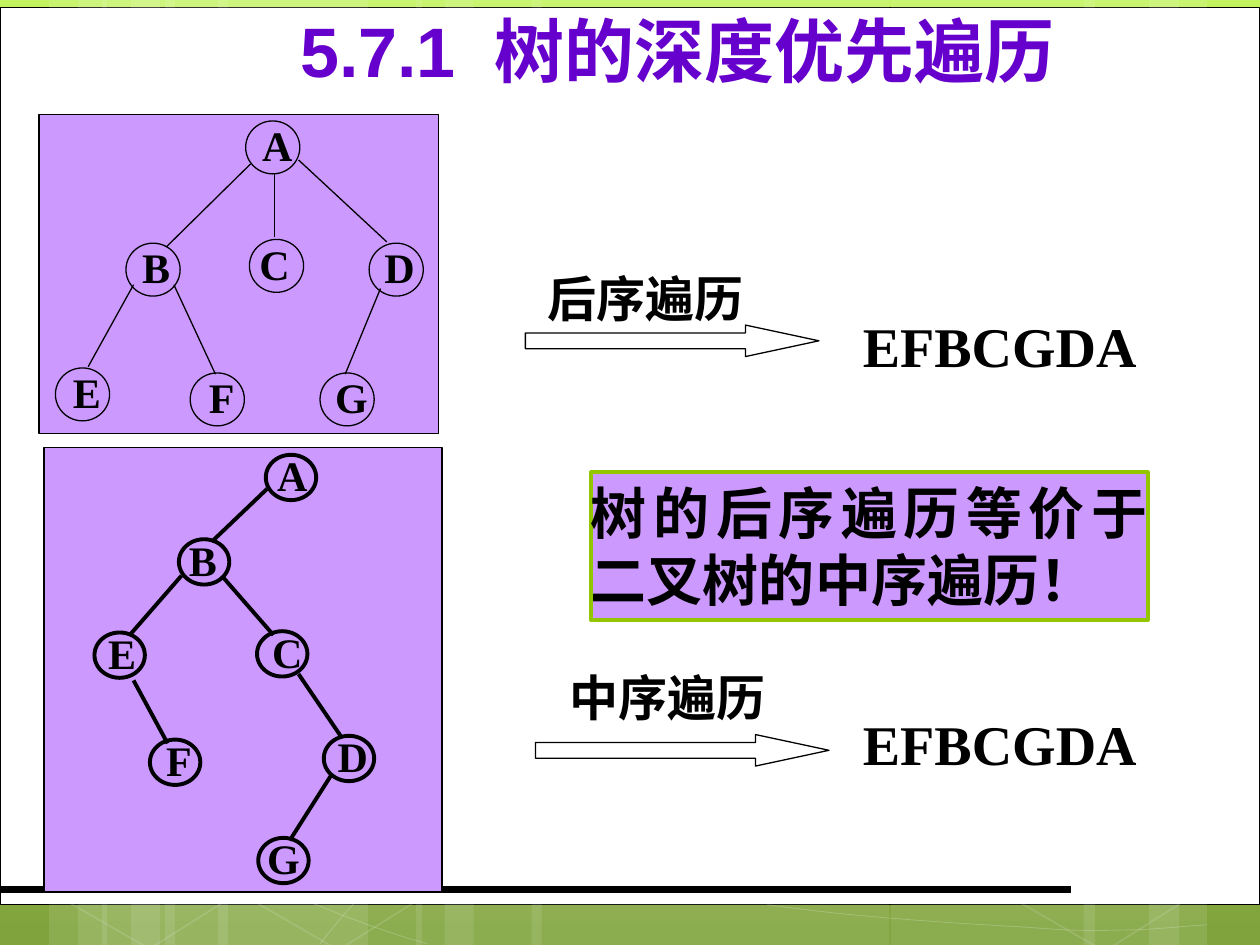
from lxml import etree
from pptx import Presentation
from pptx.dml.color import RGBColor
from pptx.enum.shapes import MSO_CONNECTOR, MSO_SHAPE
from pptx.enum.text import MSO_ANCHOR, PP_ALIGN
from pptx.oxml.ns import qn
from pptx.util import Inches, Pt

RECTANGLE, ELLIPSE = MSO_SHAPE.RECTANGLE, MSO_SHAPE.OVAL
HEXAGON, ARROW = MSO_SHAPE.HEXAGON, MSO_SHAPE.RIGHT_ARROW
STRAIGHT = MSO_CONNECTOR.STRAIGHT
LEFT, CENTER, JUSTIFY = PP_ALIGN.LEFT, PP_ALIGN.CENTER, PP_ALIGN.JUSTIFY
TOP = MSO_ANCHOR.TOP

COLORS = {
    "sky": "C2F35F", "grass": "80A33D", "white": "FFFFFF", "ink": "000000",
    "panel": "CC99FF", "frame": "94C600", "title": "6600CC",
}

# left, width of the pale vertical bars
BARS = [(1.31, 1.61), (0.39, 0.46), (0.62, 0.77), (1.73, 1.62), (0.81, 0.46),
        (1.04, 0.77), (7.07, 1.62), (9.12, 0.46), (8.6, 0.76), (4.22, 2.84),
        (3.3, 0.46), (3.53, 0.77)]
HEXAGONS = [(0.41, 5.91), (1.91, 5.92), (7.99, 5.93)]
# Bezier control points: a start, then three for each piece
CURVES = [
    [(0.36, 6.17), (1.47, 6.72), (2.58, 7.27), (3.39, 7.49)],
    [(6.09, 7.18), (6.85, 7.29), (7.67, 7.33), (8.16, 7.36),
     (8.64, 7.4), (8.77, 7.38), (9.01, 7.38),
     (9.24, 7.37), (9.41, 7.35), (9.58, 7.34)],
    [(2.54, 7.49), (2.7, 7.29), (2.86, 7.09), (3.09, 6.91)],
]

# Nodes: letter -> left, top, label shift; edges: x1, y1, x2, y2 (within the panel)
TREE = {
    "nodes": {"A": (1.64, 0.05, 0.07), "B": (0.69, 1.02, 0.06), "C": (1.67, 0.99, 0.02),
              "D": (2.62, 1.02, 0.06), "E": (0.13, 2.01, 0.07), "F": (1.2, 2.05, 0.07),
              "G": (2.23, 2.05, 0.07)},
    "edges": [(1.68, 0.39, 1.01, 1.05), (1.87, 0.47, 1.87, 0.97), (2.06, 0.36, 2.76, 1.01),
              (0.75, 1.35, 0.39, 2.0), (1.07, 1.35, 1.4, 2.06), (2.71, 1.38, 2.43, 2.06)],
    "node_size": (0.43, 0.42), "label_size": (0.36, 0.5), "label_rise": 0.08,
    "insets": (0.04, 0.07, 0.04, 0.01), "line_width": 0.75,
}
BINARY_TREE = {
    "nodes": {"A": (1.76, 0.06, 0.04), "B": (1.07, 0.73, 0.02), "C": (1.69, 1.46, 0.07),
              "D": (2.22, 2.29, 0.06), "E": (0.4, 1.47, 0.05), "F": (0.84, 2.32, 0.06),
              "G": (1.7, 3.1, 0.03)},
    "edges": [(1.77, 0.33, 1.33, 0.75), (1.09, 1.02, 0.68, 1.49), (1.41, 1.02, 1.82, 1.49),
              (0.71, 1.85, 0.98, 2.35), (2.02, 1.8, 2.36, 2.3), (2.28, 2.6, 1.95, 3.12)],
    "node_size": (0.4, 0.36), "label_size": (0.34, 0.44), "label_rise": 0.07,
    "insets": (0.02, 0.03, 0.02, 0.01), "line_width": 2.25,
}


def color(name):
    return RGBColor.from_string(COLORS[name])


def style(shape, fill=None, line=None, width=0.75):
    shape.shadow.inherit = False
    if fill:
        shape.fill.solid()
        shape.fill.fore_color.rgb = color(fill)
    else:
        shape.fill.background()
    if line:
        shape.line.color.rgb = color(line)
        shape.line.width = Pt(width)
    else:
        shape.line.fill.background()
    return shape


def add_shape(slide, kind, box, **look):
    return style(slide.shapes.add_shape(kind, *map(Inches, box)), **look)


def set_opacity(shape, percent):
    """Apply one opacity to the fill and line colours of a shape."""
    for element in shape._element.iter(qn("a:srgbClr")):
        etree.SubElement(element, qn("a:alpha"), val=str(percent * 1000))


def add_line(slide, start, end, width):
    connector = slide.shapes.add_connector(STRAIGHT, *map(Inches, (*start, *end)))
    connector.line.color.rgb = color("ink")
    connector.line.width = Pt(width)
    etree.SubElement(connector._element.spPr, qn("a:effectLst"))


def write(shape, text, size=24, font="Times New Roman", ink="ink", align=CENTER,
          insets=(0.1, 0.05, 0.1, 0.05)):
    frame = shape.text_frame
    frame.word_wrap = True
    frame.vertical_anchor = TOP
    (frame.margin_left, frame.margin_top,
     frame.margin_right, frame.margin_bottom) = map(Inches, insets)
    paragraph = frame.paragraphs[0]
    paragraph.alignment = align
    run = paragraph.add_run()
    run.text = text
    run.font.size = Pt(size)
    run.font.name = font
    run.font.bold = True
    run.font.color.rgb = color(ink)


def add_text(slide, box, text, **text_format):
    write(slide.shapes.add_textbox(*map(Inches, box)), text, **text_format)


def bezier_points(controls, steps=12):
    for first in range(0, len(controls) - 1, 3):
        piece = controls[first:first + 4]
        for step in range(1, steps + 1):
            t = step / steps
            weights = ((1 - t) ** 3, 3 * t * (1 - t) ** 2, 3 * t * t * (1 - t), t ** 3)
            yield tuple(Inches(sum(w * point[axis] for w, point in zip(weights, piece)))
                        for axis in (0, 1))


def add_backdrop(slide, width, height):
    fill = slide.background.fill
    fill.gradient()
    fill.gradient_angle = 270
    for stop, name in zip(fill.gradient_stops, ("sky", "grass")):
        stop.color.rgb = color(name)
    add_shape(slide, RECTANGLE, (0, 0.06, width, 7.12), fill="white", line="ink", width=0.5)
    for left, bar_width in BARS:
        bar = add_shape(slide, RECTANGLE, (left, 0, bar_width, height), fill="white")
        set_opacity(bar, 10)
    for controls in CURVES:
        builder = slide.shapes.build_freeform(*map(Inches, controls[0]))
        builder.add_line_segments(bezier_points(controls), close=False)
        set_opacity(style(builder.convert_to_shape(), line="white", width=0.5), 20)
    for left, top in HEXAGONS:
        hexagon = add_shape(slide, HEXAGON, (left, top, 1.61, 1.52), line="white", width=1)
        hexagon.adjustments[0] = 0.263
        hexagon.rotation = 30
        set_opacity(hexagon, 12)
    add_line(slide, (0, 7.06), (8.5, 7.06), 4.5)


def add_traversal(slide, arrow_box, caption_box, caption, result_box, result):
    arrow = add_shape(slide, ARROW, arrow_box, line="ink")
    arrow.adjustments[0], arrow.adjustments[1] = 0.5, 2.333
    add_text(slide, caption_box, caption, size=28, align=LEFT)
    add_text(slide, result_box, result, size=32, align=LEFT)


def add_tree(slide, box, tree):
    left, top = box[:2]
    width = tree["line_width"]
    add_shape(slide, RECTANGLE, box, fill="panel", line="ink")
    for x1, y1, x2, y2 in tree["edges"]:
        add_line(slide, (left + x1, top + y1), (left + x2, top + y2), width)
    for letter, (x, y, shift) in tree["nodes"].items():
        x, y = left + x, top + y
        add_text(slide, (x + shift, y - tree["label_rise"], *tree["label_size"]), letter,
                 insets=tree["insets"])
        add_shape(slide, ELLIPSE, (x, y, *tree["node_size"]), line="ink", width=width)


def add_conclusion(slide, box):
    shape = add_shape(slide, RECTANGLE, box, fill="panel", line="frame", width=2.25)
    write(shape, "树的后序遍历等价于二叉树的中序遍历！", size=32, align=JUSTIFY,
          insets=(0, 0.05, 0, 0.05))


def main():
    presentation = Presentation()
    presentation.slide_width, presentation.slide_height = Inches(10), Inches(7.5)
    slide = presentation.slides.add_slide(presentation.slide_layouts[6])
    add_backdrop(slide, 10, 7.5)
    add_traversal(slide, (4.17, 2.58, 2.33, 0.25), (4.25, 2.08, 1.92, 0.57), "后序遍历",
                  (6.75, 2.42, 2.67, 0.64), "EFBCGDA")
    add_traversal(slide, (4.25, 5.83, 2.33, 0.25), (4.42, 5.25, 1.83, 0.57), "中序遍历",
                  (6.75, 5.58, 2.58, 0.64), "EFBCGDA")
    add_conclusion(slide, (4.69, 3.75, 4.42, 1.17))
    add_text(slide, (1.52, 0.01, 7.71, 0.77), "5.7.1  树的深度优先遍历",
             size=40, font="Arial", ink="title")
    add_tree(slide, (0.31, 0.91, 3.17, 2.53), TREE)
    add_tree(slide, (0.35, 3.55, 3.16, 3.53), BINARY_TREE)
    presentation.save("out.pptx")


if __name__ == "__main__":
    main()
